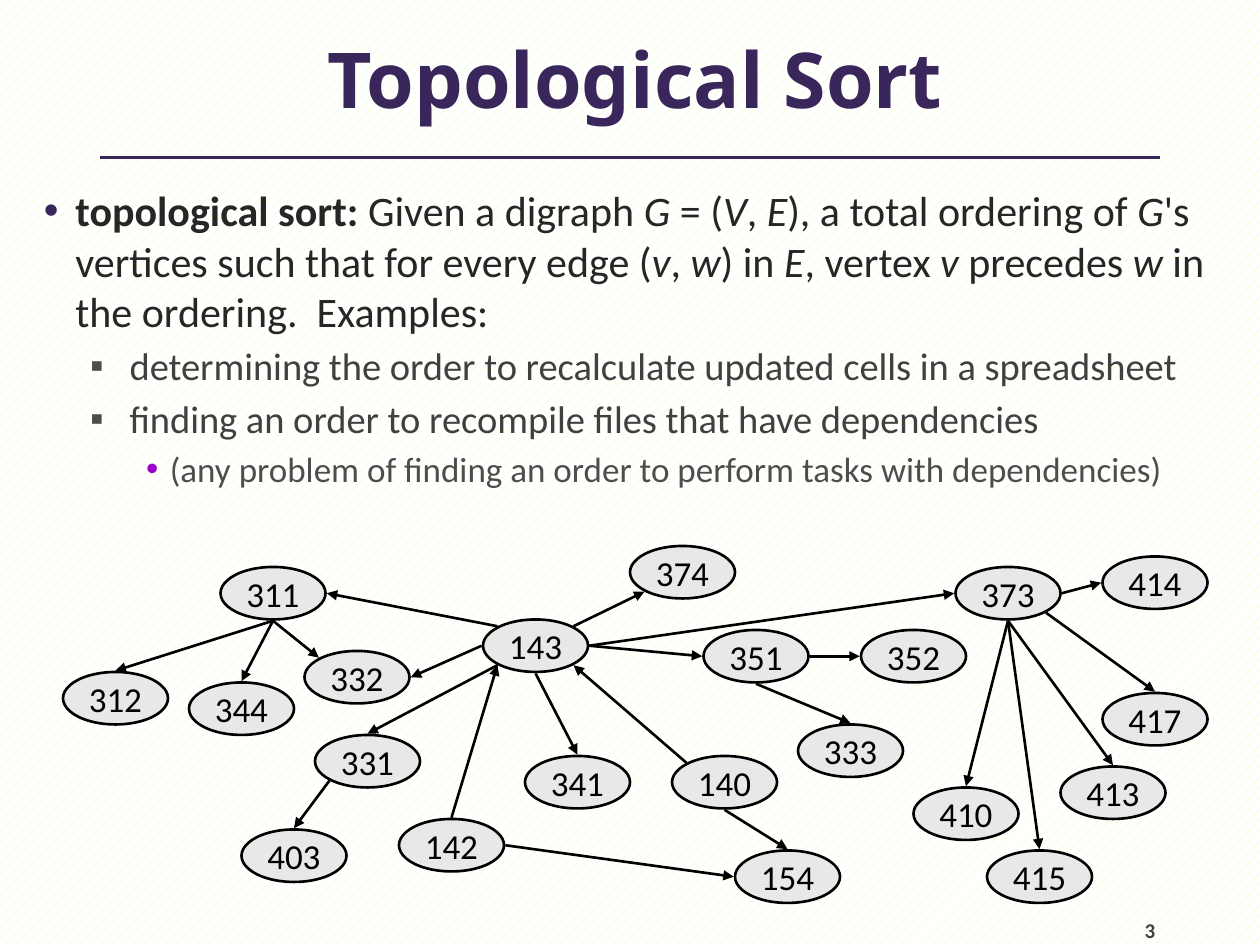
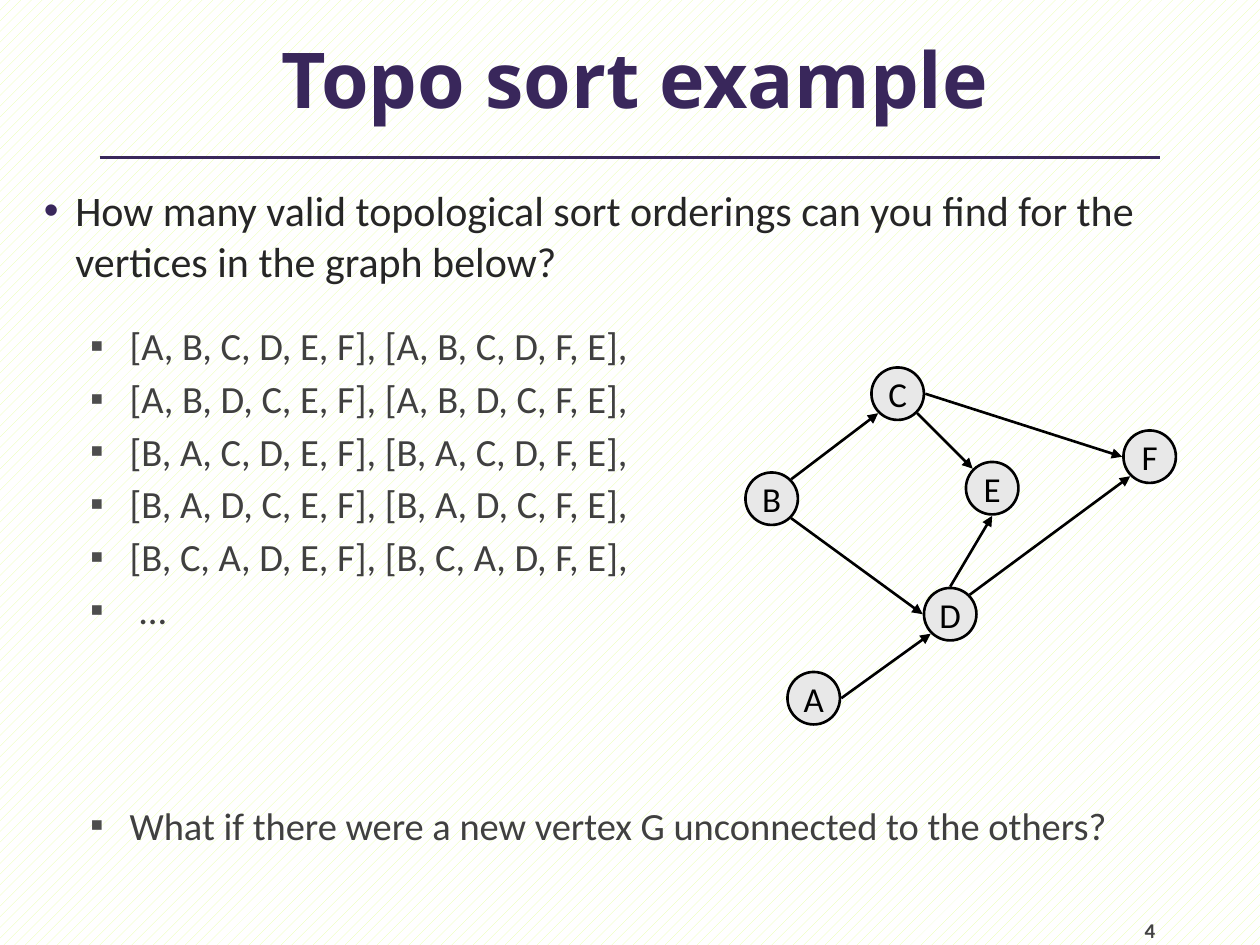
from dataclasses import dataclass
from math import sqrt
from typing import NamedTuple

from lxml import etree
from pptx import Presentation
from pptx import util as u
from pptx.dml.color import RGBColor
from pptx.enum import dml, shapes, text
from pptx.oxml import ns

COLORS = {
    "purple": "39275B", "violet": "9900CC", "black": "000000", "white": "FFFFFF",
    "lime": "E6FF9F", "node": "E8E8E8", "body": "262626", "detail": "404040",
    "note": "4D4D4D", "number": "424242",
}
BODY_FONT, TITLE_FONT = "Calibri", "Noto Sans"
NODE_HEIGHT = 30
EDGE_GAP = 0.75  # keeps arrows clear of the node outline
DIAGONAL = 1 / sqrt(2)
SIDES = {
    "N": (0, -1), "S": (0, 1), "W": (-1, 0), "E": (1, 0),
    "NW": (-DIAGONAL, -DIAGONAL), "NE": (DIAGONAL, -DIAGONAL),
    "SW": (-DIAGONAL, DIAGONAL), "SE": (DIAGONAL, DIAGONAL),
}


class Box(NamedTuple):
    left: float
    top: float
    width: float
    height: float


class Level(NamedTuple):
    size: float
    color: str
    bullet: str
    bullet_color: str
    margin: float
    hanging: float
    space_before: float


class Edge(NamedTuple):
    start: str
    start_side: str
    end: str
    end_side: str


@dataclass
class Bullet:
    """One body paragraph; parts between underscores are italic."""
    text: str
    level: int = 0
    lead: str = ""
    extra_space: float = 0


@dataclass
class Graph:
    node_width: float
    nodes: dict[str, tuple[float, float]]
    edges: list[Edge]

    def anchor(self, name: str, side: str) -> tuple[float, float]:
        """Point on the named node's outline in a compass direction."""
        left, top = self.nodes[name]
        step_x, step_y = SIDES[side]
        radius_x, radius_y = self.node_width / 2, NODE_HEIGHT / 2
        return (left + radius_x + step_x * (radius_x + EDGE_GAP),
                top + radius_y + step_y * (radius_y + EDGE_GAP))


@dataclass
class Page:
    number: int
    title: str
    bullets: list[Bullet]
    graph: Graph


LEVELS = [
    Level(24, "body", "•", "purple", 36, 18, 4),
    Level(22, "detail", "▪", "note", 67, 22.5, 3.8),
    Level(20, "note", "•", "violet", 90, 13.5, 3.5),
]
TITLE_BOX = Box(3, -0.7, 720, 90)
BODY_BOX = Box(0, 102, 720, 438)
NUMBER_BOX = Box(654, 510, 60, 28.5)
RULE_LEFT, RULE_RIGHT, RULE_TOP = 57, 663, 90

COURSES = Graph(
    60,
    {
        "142": (228, 468), "143": (276, 354), "154": (420, 486), "140": (384, 432),
        "311": (126, 324), "312": (36, 384), "331": (180, 420), "351": (402, 360),
        "333": (456, 414), "341": (300, 432), "344": (108, 390), "403": (138, 474),
        "352": (492, 360), "373": (546, 324), "410": (522, 450), "332": (174, 372),
        "374": (360, 312), "415": (564, 486), "413": (606, 438), "417": (630, 396),
        "414": (630, 318),
    },
    [
        Edge("142", "N", "143", "SW"), Edge("142", "E", "154", "W"),
        Edge("140", "NW", "143", "SE"), Edge("140", "S", "154", "N"),
        Edge("311", "S", "312", "N"), Edge("311", "S", "344", "N"),
        Edge("311", "S", "332", "NW"), Edge("143", "NW", "311", "E"),
        Edge("143", "SW", "331", "N"), Edge("143", "W", "332", "E"),
        Edge("143", "S", "341", "N"), Edge("143", "E", "351", "W"),
        Edge("143", "E", "373", "W"), Edge("143", "NE", "374", "SW"),
        Edge("331", "SW", "403", "N"), Edge("351", "E", "352", "W"),
        Edge("351", "S", "333", "N"), Edge("373", "S", "410", "N"),
        Edge("373", "S", "415", "N"), Edge("373", "S", "413", "N"),
        Edge("373", "E", "414", "W"), Edge("373", "SE", "417", "N"),
    ],
)
LETTERS = Graph(
    30,
    {"A": (450, 384), "B": (426, 270), "C": (498, 210),
     "D": (528, 336), "E": (552, 264), "F": (642, 246)},
    [
        Edge("B", "NE", "C", "SW"), Edge("B", "SE", "D", "W"),
        Edge("C", "E", "F", "W"), Edge("C", "SE", "E", "NW"),
        Edge("D", "NE", "F", "SW"), Edge("D", "N", "E", "S"),
        Edge("A", "E", "D", "SW"),
    ],
)
PAGES = [
    Page(3, "Topological Sort", [
        Bullet(" Given a digraph _G_ = (_V_, _E_), a total ordering of _G_'s vertices "
               "such that for every edge (_v_, _w_) in _E_, vertex _v_ precedes _w_ "
               "in the ordering.  Examples:", lead="topological sort:"),
        Bullet("determining the order to recalculate updated cells in a spreadsheet", 1),
        Bullet("finding an order to recompile files that have dependencies", 1),
        Bullet("(any problem of finding an order to perform tasks with dependencies)", 2),
    ], COURSES),
    Page(4, "Topo sort example", [
        Bullet("How many valid topological sort orderings can you find for the "
               "vertices in the graph below?"),
        Bullet("[A, B, C, D, E, F], [A, B, C, D, F, E],", 1, extra_space=17),
        Bullet("[A, B, D, C, E, F], [A, B, D, C, F, E],", 1),
        Bullet("[B, A, C, D, E, F], [B, A, C, D, F, E],", 1),
        Bullet("[B, A, D, C, E, F], [B, A, D, C, F, E],", 1),
        Bullet("[B, C, A, D, E, F], [B, C, A, D, F, E],", 1),
        Bullet(" ...", 1),
        Bullet("What if there were a new vertex G unconnected to the others?", 1,
               extra_space=93),
    ], LETTERS),
]


def rgb(name: str) -> RGBColor:
    return RGBColor.from_string(COLORS[name])


def add_run(paragraph, content: str, *, size: float, color: str, font: str = BODY_FONT,
            bold: bool = False, italic: bool = False) -> None:
    run = paragraph.add_run()
    run.text = content
    run.font.name, run.font.size = font, u.Pt(size)
    run.font.bold, run.font.italic = bold, italic
    run.font.color.rgb = rgb(color)


def add_text_box(slide, box: Box, anchor=text.MSO_ANCHOR.TOP):
    frame = slide.shapes.add_textbox(*map(u.Pt, box)).text_frame
    frame.word_wrap = True
    frame.vertical_anchor = anchor
    return frame


def add_line(slide, start: tuple[float, float], end: tuple[float, float], *,
             color: str, width: float, arrow: bool = False) -> None:
    connector = slide.shapes.add_connector(
        shapes.MSO_CONNECTOR.STRAIGHT, *map(u.Pt, (*start, *end)))
    connector.line.color.rgb = rgb(color)
    connector.line.width = u.Pt(width)
    if arrow:
        etree.SubElement(connector.line._get_or_add_ln(), ns.qn("a:tailEnd"),
                         type="triangle")
    etree.SubElement(connector._element.spPr, ns.qn("a:effectLst"))


def add_frame(slide, page: Page) -> None:
    """Background, title, rule and slide number."""
    fill = slide.background.fill
    fill.patterned()
    fill.pattern = dml.MSO_PATTERN.PERCENT_20
    fill.fore_color.rgb = rgb("lime")
    fill.back_color.rgb = rgb("white")

    number = add_text_box(slide, NUMBER_BOX, text.MSO_ANCHOR.BOTTOM)
    number.margin_left = number.margin_right = 0
    number.margin_top = number.margin_bottom = 0
    add_run(number.paragraphs[0], str(page.number), size=12, color="number", bold=True)

    add_line(slide, (RULE_LEFT, RULE_TOP), (RULE_RIGHT, RULE_TOP),
             color="purple", width=2.25)

    title = add_text_box(slide, TITLE_BOX, text.MSO_ANCHOR.MIDDLE).paragraphs[0]
    title.alignment = text.PP_ALIGN.CENTER
    add_run(title, page.title, size=44, color="purple", font=TITLE_FONT, bold=True)


def format_bullet(paragraph, level: Level) -> None:
    properties = paragraph._p.get_or_add_pPr()
    properties.set("marL", str(u.Pt(level.margin)))
    properties.set("indent", str(-u.Pt(level.hanging)))
    bullet_color = etree.SubElement(properties, ns.qn("a:buClr"))
    etree.SubElement(bullet_color, ns.qn("a:srgbClr"), val=COLORS[level.bullet_color])
    etree.SubElement(properties, ns.qn("a:buFont"), typeface="Arial")
    etree.SubElement(properties, ns.qn("a:buChar"), char=level.bullet)


def add_bullets(slide, bullets: list[Bullet]) -> None:
    frame = add_text_box(slide, BODY_BOX)
    for index, bullet in enumerate(bullets):
        paragraph = frame.add_paragraph() if index else frame.paragraphs[0]
        level = LEVELS[bullet.level]
        paragraph.level = bullet.level
        paragraph.space_before = u.Pt(level.space_before + bullet.extra_space)
        format_bullet(paragraph, level)
        if bullet.lead:
            add_run(paragraph, bullet.lead, size=level.size, color=level.color, bold=True)
        for position, part in enumerate(bullet.text.split("_")):
            add_run(paragraph, part, size=level.size, color=level.color,
                    italic=position % 2 == 1)


def add_node(slide, name: str, box: Box) -> None:
    node = slide.shapes.add_shape(shapes.MSO_SHAPE.OVAL, *map(u.Pt, box))
    node.shadow.inherit = False
    node.fill.solid()
    node.fill.fore_color.rgb = rgb("node")
    node.line.color.rgb = rgb("black")
    node.line.width = u.Pt(1.5)
    frame = node.text_frame
    frame.word_wrap = False
    frame.vertical_anchor = text.MSO_ANCHOR.MIDDLE
    frame.paragraphs[0].alignment = text.PP_ALIGN.CENTER
    add_run(frame.paragraphs[0], name, size=20, color="black")


def add_graph(slide, graph: Graph) -> None:
    for name, (left, top) in graph.nodes.items():
        add_node(slide, name, Box(left, top, graph.node_width, NODE_HEIGHT))
    for edge in graph.edges:
        add_line(slide, graph.anchor(edge.start, edge.start_side),
                 graph.anchor(edge.end, edge.end_side),
                 color="black", width=1.5, arrow=True)


def main() -> None:
    presentation = Presentation()
    presentation.slide_width, presentation.slide_height = u.Pt(720), u.Pt(540)
    for page in PAGES:
        slide = presentation.slides.add_slide(presentation.slide_layouts[6])
        add_frame(slide, page)
        add_bullets(slide, page.bullets)
        add_graph(slide, page.graph)
    presentation.save("out.pptx")


if __name__ == "__main__":
    main()
